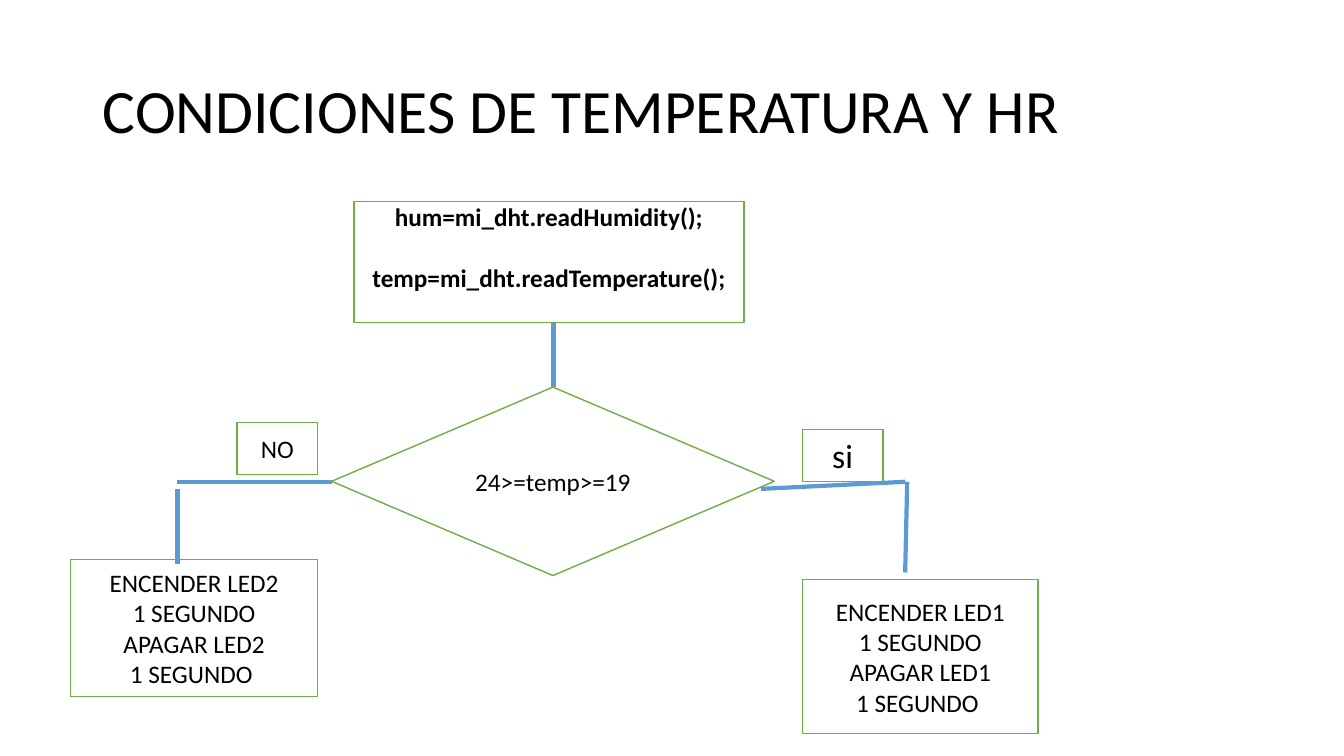
from lxml.etree import SubElement
from pptx import Presentation
from pptx.dml.color import RGBColor
from pptx.enum.shapes import MSO_CONNECTOR, MSO_SHAPE
from pptx.enum.text import MSO_ANCHOR, MSO_AUTO_SIZE, PP_ALIGN
from pptx.oxml.ns import qn
from pptx.util import Inches, Pt


def color(hex_code):
    return RGBColor.from_string(hex_code)


def write(frame, *lines, size=18, bold=False, align=PP_ALIGN.CENTER,
          anchor=MSO_ANCHOR.MIDDLE, line_spacing=1.0, gap=0):
    """Fill a text frame with one paragraph per line; gap is in points."""
    frame.word_wrap = True
    frame.auto_size = MSO_AUTO_SIZE.NONE
    frame.vertical_anchor = anchor
    for i, line in enumerate(lines):
        paragraph = frame.add_paragraph() if i else frame.paragraphs[0]
        paragraph.alignment = align
        paragraph.line_spacing = line_spacing
        paragraph.space_before = Pt(0)
        paragraph.space_after = Pt(gap)
        run = paragraph.add_run()
        run.text = line
        run.font.name = "Calibri"
        run.font.size = Pt(size)
        run.font.bold = bold
        run.font.color.rgb = color("000000")


class FlowSlide:
    """Flowchart slide whose lengths are percentages of its width and height."""
    FILL, OUTLINE, FLOW = "FFFFFF", "70AD47", "5B9BD5"

    def __init__(self, deck):
        self.width, self.height = deck.slide_width, deck.slide_height
        self.slide = deck.slides.add_slide(deck.slide_layouts[5])

    def place(self, x, y):
        return round(self.width * x / 100), round(self.height * y / 100)

    def title(self, text, x, y, w, h):
        heading = self.slide.shapes.title
        heading.left, heading.top = self.place(x, y)
        heading.width, heading.height = self.place(w, h)
        write(heading.text_frame, text, size=44, align=PP_ALIGN.LEFT, line_spacing=0.9)

    def step(self, x, y, w, h, *lines, outline=MSO_SHAPE.RECTANGLE, **text_format):
        box = self.slide.shapes.add_shape(outline, *self.place(x, y), *self.place(w, h))
        box.shadow.inherit = False
        box.fill.solid()
        box.fill.fore_color.rgb = color(self.FILL)
        box.line.color.rgb = color(self.OUTLINE)
        box.line.width = Pt(1)
        write(box.text_frame, *lines, **text_format)
        return box

    def flow(self, start, end):
        link = self.slide.shapes.add_connector(
            MSO_CONNECTOR.STRAIGHT, *self.place(*start), *self.place(*end))
        link.line.color.rgb = color(self.FLOW)
        link.line.width = Pt(3)
        SubElement(link._element.spPr, qn("a:effectLst"))

    def led_cycle(self, led, x, y, w, h):
        self.step(x, y, w, h, f"ENCENDER {led}", "1 SEGUNDO", f"APAGAR {led}", "1 SEGUNDO ")

    def answer(self, text, x, y, size=18):
        self.step(x, y, 6, 6.93, text, size=size)


def main():
    deck = Presentation()
    deck.slide_width, deck.slide_height = Inches(13.33), Inches(7.5)
    chart = FlowSlide(deck)
    chart.title("CONDICIONES DE TEMPERATURA Y HR", 6.9, 5.33, 86.25, 19.33)

    readings = chart.step(26.33, 26.67, 29.03, 16,
                          "hum=mi_dht.readHumidity();", "temp=mi_dht.readTemperature();",
                          bold=True, anchor=MSO_ANCHOR.TOP, gap=22)
    readings.text_frame.margin_top = 0
    chart.flow((41.18, 42.67), (41.18, 51.2))
    chart.step(24.68, 51.2, 32.93, 24.93, "24>=temp>=19", outline=MSO_SHAPE.DIAMOND)

    chart.led_cycle("LED1", 59.7, 76.67, 17.55, 20.4)
    chart.led_cycle("LED2", 5.25, 74, 18.38, 18.13)

    branch_y, lower_y = 63.73, 64.67
    chart.flow((67.5, branch_y), (67.35, 75.73))
    chart.flow((67.35, branch_y), (56.63, lower_y))
    chart.flow((24.68, branch_y), (13.2, branch_y))
    chart.flow((13.2, lower_y), (13.2, 74.67))

    chart.answer("si", 59.7, 56.8, size=24)
    chart.answer("NO", 17.63, 55.87)
    deck.save("out.pptx")


if __name__ == "__main__":
    main()
